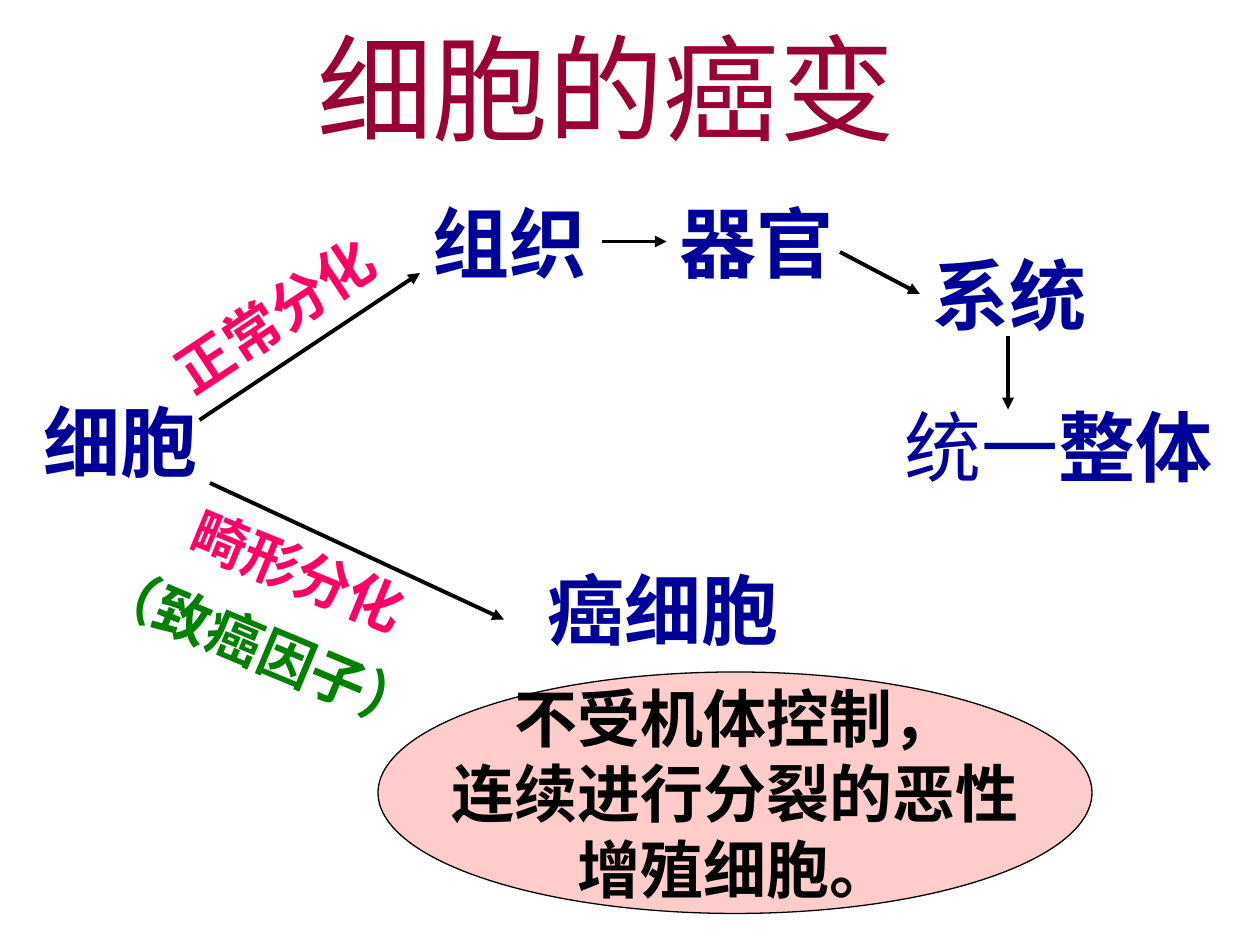
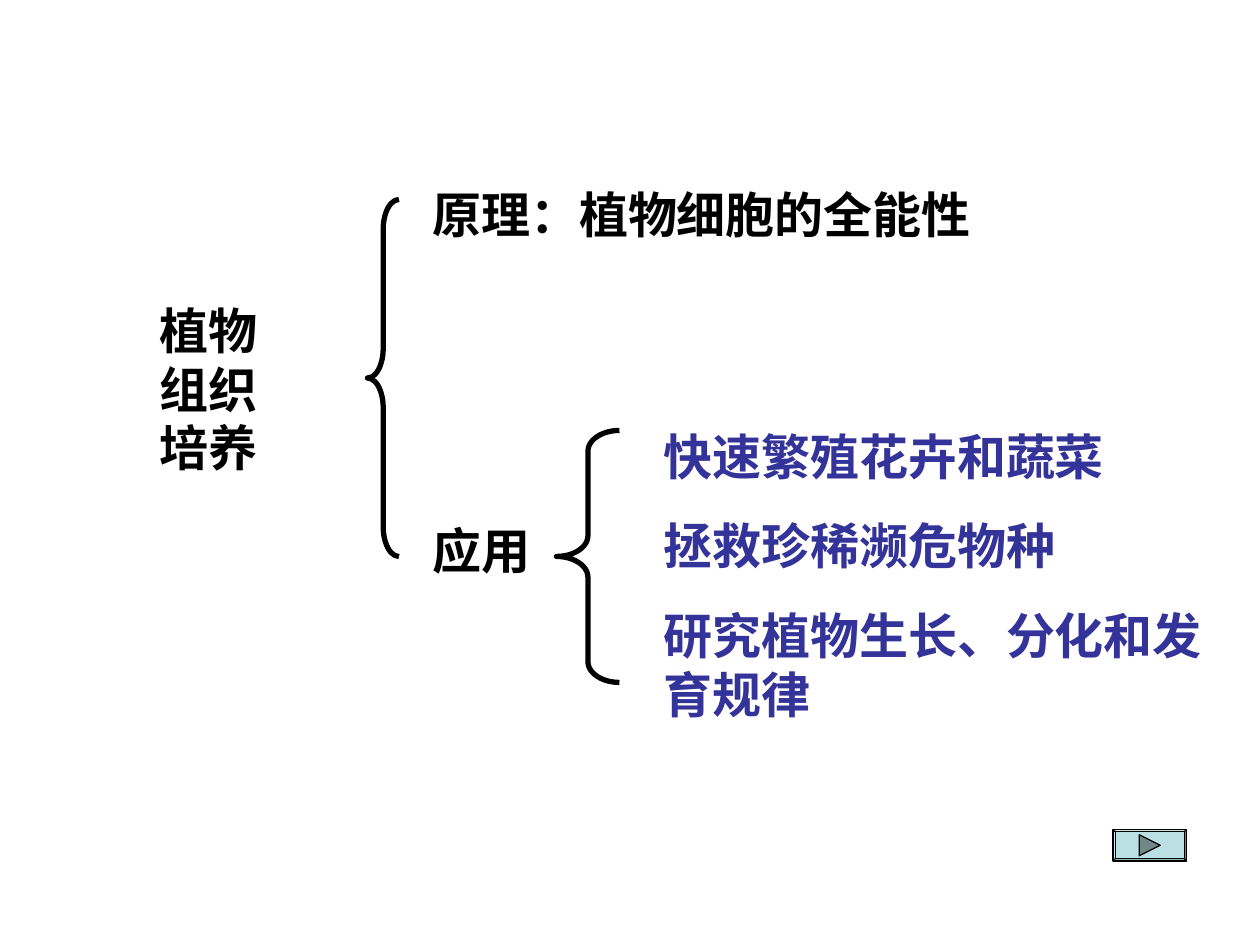
from typing import NamedTuple, Optional

from lxml.etree import SubElement
from pptx import Presentation
from pptx.dml.color import RGBColor
from pptx.enum.shapes import MSO_CONNECTOR, MSO_SHAPE
from pptx.enum.text import MSO_ANCHOR, MSO_AUTO_SIZE, PP_ALIGN
from pptx.oxml.ns import qn
from pptx.util import Inches, Pt

WIDTH, HEIGHT = Inches(10), Inches(7.5)
COLUMN, ROW = WIDTH / 120, HEIGHT / 90

BLACK = RGBColor(0x00, 0x00, 0x00)
CRIMSON = RGBColor(0x99, 0x00, 0x33)
NAVY = RGBColor(0x00, 0x00, 0x99)
PINK = RGBColor(0xFF, 0x00, 0x66)
GREEN = RGBColor(0x00, 0x80, 0x00)
INDIGO = RGBColor(0x33, 0x33, 0x99)
ROSE = RGBColor(0xFF, 0xCC, 0xCC)
AQUA = RGBColor(0xBB, 0xE0, 0xE3)
SLATE = RGBColor(0x70, 0x88, 0x88)

CJK_FONT = "Noto Sans CJK SC"


class Area(NamedTuple):
    left: float
    top: float
    width: float
    height: float

    def emu(self) -> tuple[int, int, int, int]:
        return (round(self.left * COLUMN), round(self.top * ROW),
                round(self.width * COLUMN), round(self.height * ROW))


class Style(NamedTuple):
    size: float
    color: RGBColor
    font: str = CJK_FONT
    bold: bool = True


class Label(NamedTuple):
    text: str
    area: Area
    style: Style
    rotation: float = 0
    indent: float = 0.1
    wrap: bool = True


class Arrow(NamedTuple):
    start: tuple[float, float]
    end: tuple[float, float]
    source: Optional[str] = None
    target: Optional[str] = None


class Brace(NamedTuple):
    area: Area
    curve: float


TITLE = Style(66, CRIMSON, "Times New Roman", False)
STAGE = Style(44, NAVY)
PROCESS = Style(32, PINK)
FACTOR = Style(32, GREEN)
DEFINITION = Style(36, BLACK)
TOPIC = Style(28, BLACK, "Arial")
USE = Style(28, INDIGO, "Arial")

CANCER_LABELS = [
    Label("细胞", Area(3, 37, 17.3, 10), STAGE),
    Label("正常分化", Area(14, 25, 28, 7.7), PROCESS, -33.6),
    Label("组织", Area(40, 18, 17.3, 10), STAGE),
    Label("器官", Area(63.5, 18, 20.5, 10), STAGE),
    Label("系统", Area(87.6, 23, 18.4, 10), STAGE),
    Label("畸形分化", Area(15.1, 51.6, 32, 7.7), PROCESS, 22.3, 0.2),
    Label("癌细胞", Area(51, 53, 26, 10), STAGE),
    Label("（致癌因子）", Area(7.7, 57.8, 34.4, 7.7), FACTOR, 22.6, wrap=False),
]
WHOLE = Label("统一", Area(85, 37.5, 35, 10), STAGE._replace(bold=False))

ARROWS = [
    Arrow((19, 40), (40, 26)),
    Arrow((20, 46), (48, 59)),
    Arrow((57, 23), (64, 23), "组织", "器官"),
    Arrow((80, 24), (88, 28), target="系统"),
    Arrow((96, 32), (96, 39)),
]

CULTURE_LABELS = [
    Label("植物组织培养", Area(14, 28, 16, 18), TOPIC),
    Label("原理：植物细胞的全能性", Area(40, 17, 61, 6.8), TOPIC),
    Label("应用", Area(40, 49, 12, 6.8), TOPIC),
]
BRACES = [Brace(Area(35, 19, 3, 34), 0.94), Brace(Area(53, 41, 6, 24), 0.33)]
USES = ["快速繁殖花卉和蔬菜", "拯救珍稀濒危物种", "研究植物生长、分化和发育规律"]


def format_run(run, style: Style) -> None:
    font = run.font
    font.size, font.bold, font.name = Pt(style.size), style.bold, style.font
    font.color.rgb = style.color
    SubElement(run._r.get_or_add_rPr(), qn("a:ea"), typeface=CJK_FONT)


def write(shape, text: str, style: Style, align=PP_ALIGN.LEFT, gap: float = 0) -> None:
    frame = shape.text_frame
    frame.text = text
    for index, paragraph in enumerate(frame.paragraphs):
        paragraph.alignment = align
        paragraph.space_before = Pt(gap if index else 0)
        for run in paragraph.runs:
            format_run(run, style)


def place(shape, area: Area) -> None:
    shape.left, shape.top, shape.width, shape.height = area.emu()
    shape.text_frame.vertical_anchor = MSO_ANCHOR.TOP
    shape.text_frame.auto_size = MSO_AUTO_SIZE.SHAPE_TO_FIT_TEXT


def add_label(slide, label: Label):
    box = slide.shapes.add_textbox(*label.area.emu())
    place(box, label.area)
    box.rotation = label.rotation
    box.text_frame.word_wrap = label.wrap
    box.text_frame.margin_left = Inches(label.indent)
    write(box, label.text, label.style)
    return box


def add_preset(slide, preset, area: Area, fill: Optional[RGBColor], line_width: float = 0.75):
    shape = slide.shapes.add_shape(preset, *area.emu())
    shape.shadow.inherit = False
    if fill is None:
        shape.fill.background()
    else:
        shape.fill.solid()
        shape.fill.fore_color.rgb = fill
    shape.line.color.rgb = BLACK
    shape.line.width = Pt(line_width)
    return shape


def add_arrow(slide, arrow: Arrow, boxes: dict) -> None:
    ends = [round(value * unit) for point in (arrow.start, arrow.end)
            for value, unit in zip(point, (COLUMN, ROW))]
    connector = slide.shapes.add_connector(MSO_CONNECTOR.STRAIGHT, *ends)
    if arrow.source:
        connector.begin_connect(boxes[arrow.source], 3)
    if arrow.target:
        connector.end_connect(boxes[arrow.target], 1)
    connector.line.color.rgb = BLACK
    connector.line.width = Pt(2.25)
    SubElement(connector.line._get_or_add_ln(), qn("a:tailEnd"), type="triangle")
    SubElement(connector._element.spPr, qn("a:effectLst"))


def build_cancer_slide(presentation) -> None:
    slide = presentation.slides.add_slide(presentation.slide_layouts[5])
    title = slide.shapes.title
    place(title, Area(29, 1, 66, 14.4))
    write(title, "细胞的癌变", TITLE)

    boxes = {label.text: add_label(slide, label) for label in CANCER_LABELS}
    whole = add_label(slide, WHOLE)
    run = whole.text_frame.paragraphs[0].add_run()
    run.text = "整体"
    format_run(run, STAGE)

    definition = add_preset(slide, MSO_SHAPE.OVAL, Area(36, 64, 68, 23), ROSE)
    definition.text_frame.word_wrap = False
    definition.text_frame.vertical_anchor = MSO_ANCHOR.MIDDLE
    write(definition, "不受机体控制，\n连续进行分裂的恶性\n增殖细胞。", DEFINITION, PP_ALIGN.CENTER)

    for arrow in ARROWS:
        add_arrow(slide, arrow, boxes)


def build_culture_slide(presentation) -> None:
    slide = presentation.slides.add_slide(presentation.slide_layouts[1])
    title = slide.shapes.title
    title._element.getparent().remove(title._element)

    uses = slide.placeholders[1]
    place(uses, Area(62, 40, 56, 29.5))
    write(uses, "\n".join(USES), USE, gap=17.5)
    for paragraph in uses.text_frame.paragraphs:
        properties = paragraph._p.get_or_add_pPr()
        properties.set("marL", "0")
        properties.set("indent", "0")
        SubElement(properties, qn("a:buNone"))

    for label in CULTURE_LABELS:
        add_label(slide, label)
    for brace in BRACES:
        shape = add_preset(slide, MSO_SHAPE.LEFT_BRACE, brace.area, None, 3)
        shape.adjustments[0] = brace.curve

    button = add_preset(slide, MSO_SHAPE.BEVEL, Area(106, 79, 7, 3), AQUA)
    button.adjustments[0] = 0.07
    pointer = add_preset(slide, MSO_SHAPE.ISOSCELES_TRIANGLE, Area(108.5, 79.5, 2, 2), SLATE)
    pointer.rotation = 90


def main() -> None:
    presentation = Presentation()
    presentation.slide_width, presentation.slide_height = WIDTH, HEIGHT
    build_cancer_slide(presentation)
    build_culture_slide(presentation)
    presentation.save("out.pptx")


if __name__ == "__main__":
    main()
